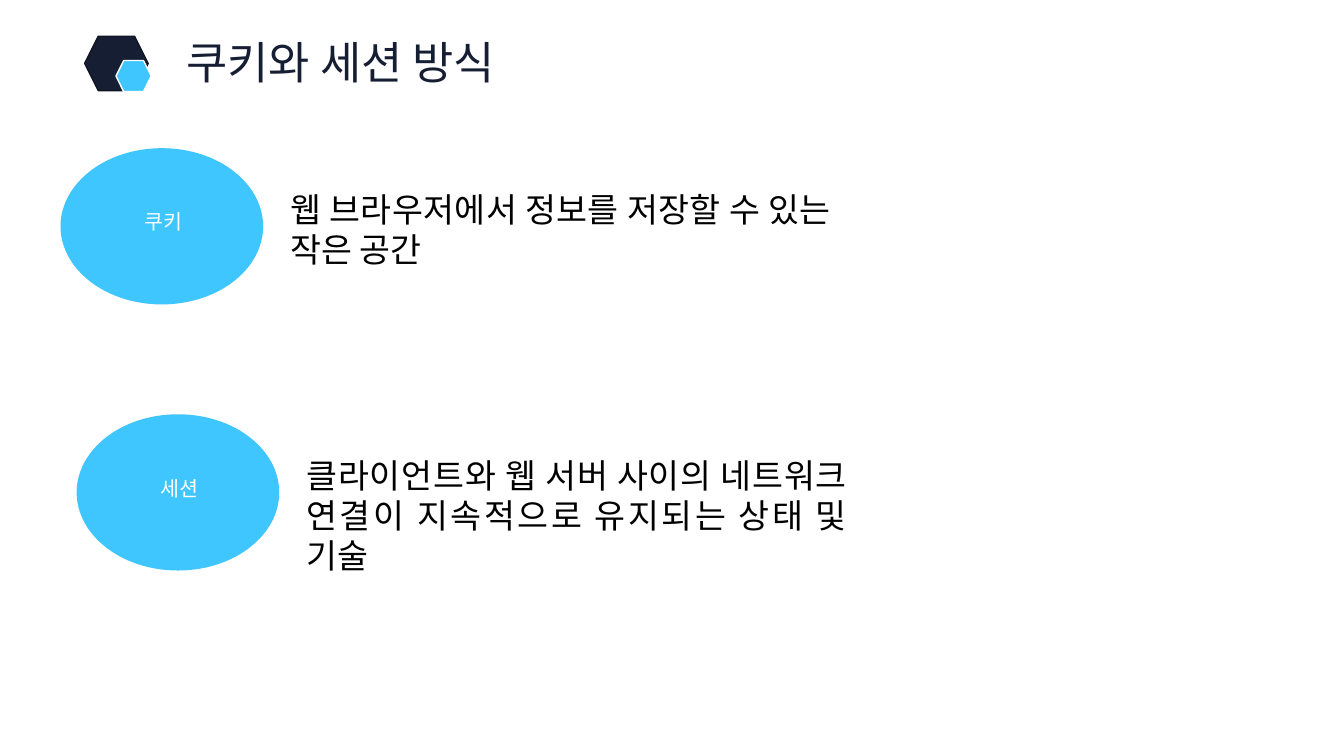
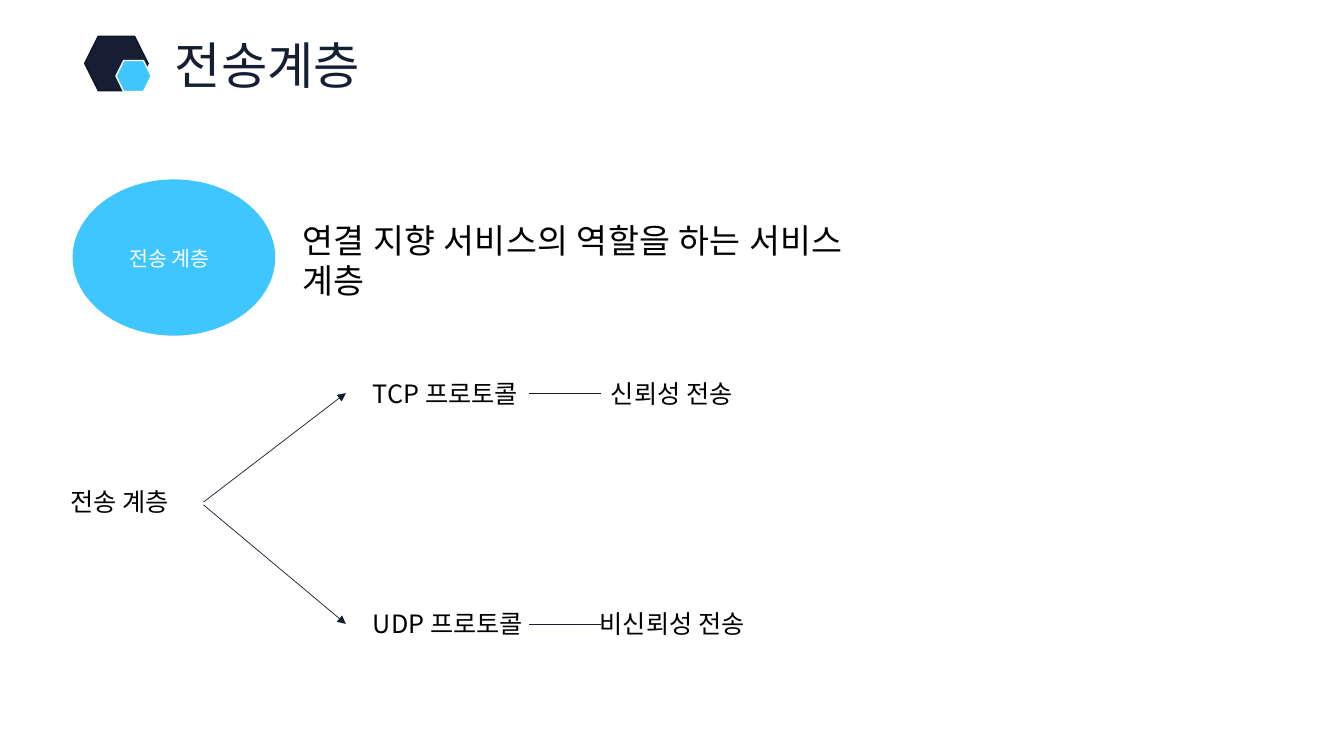
"""Build two slides on cookies, sessions and the transport layer."""
from dataclasses import dataclass

import lxml.etree
import pptx
import pptx.dml.color
import pptx.enum.shapes
import pptx.enum.text
import pptx.oxml.ns
import pptx.presentation
import pptx.shapes.autoshape
import pptx.slide
import pptx.util

Inches = pptx.util.Inches
Pt = pptx.util.Pt
Align = pptx.enum.text.PP_ALIGN
Anchor = pptx.enum.text.MSO_ANCHOR
AutoSize = pptx.enum.text.MSO_AUTO_SIZE
Preset = pptx.enum.shapes.MSO_SHAPE


@dataclass(frozen=True)
class Theme:
    navy: str = "151E33"
    navy_edge: str = "101524"
    sky: str = "3FC6FE"
    white: str = "FFFFFF"
    black: str = "000000"
    connector: str = "161D30"
    title_font: str = "Noto Sans CJK KR"
    body_font: str = "Noto Sans CJK SC"
    definition_size: float = 24
    node_size: float = 18
    term_size: float = 14.7


@dataclass(frozen=True)
class Title:
    text: str
    left: float
    size: float


@dataclass(frozen=True)
class Definition:
    term: str
    meaning: str
    left: float
    top: float
    term_dx: float = 0.83
    term_dy: float = 0.4


@dataclass(frozen=True)
class Node:
    text: str
    left: float
    top: float
    width: float


@dataclass(frozen=True)
class Link:
    start: tuple[float, float]
    end: tuple[float, float]
    arrow: bool = False


THEME = Theme()


def rgb(color: str) -> pptx.dml.color.RGBColor:
    return pptx.dml.color.RGBColor.from_string(color)


def add_preset(slide: pptx.slide.Slide, preset: Preset, left: float, top: float, width: float, height: float,
               fill: str | None = None, line: str | None = None) -> pptx.shapes.autoshape.Shape:
    shape = slide.shapes.add_shape(preset, Inches(left), Inches(top), Inches(width), Inches(height))
    shape.shadow.inherit = False
    if fill:
        shape.fill.solid()
        shape.fill.fore_color.rgb = rgb(fill)
    else:
        shape.fill.background()
    if line:
        shape.line.color.rgb = rgb(line)
        shape.line.width = Pt(1)
    else:
        shape.line.fill.background()
    return shape


def write_text(shape: pptx.shapes.autoshape.Shape, text: str, size: float, color: str, font: str = THEME.body_font,
               align: Align = Align.LEFT, anchor: Anchor = Anchor.TOP) -> None:
    frame = shape.text_frame
    frame.text = text
    frame.word_wrap = True
    frame.vertical_anchor = anchor
    paragraph = frame.paragraphs[0]
    paragraph.alignment = align
    run = paragraph.runs[0]
    run.font.size = Pt(size)
    run.font.color.rgb = rgb(color)
    run.font.name = font
    east_asian = lxml.etree.SubElement(run.font._element, pptx.oxml.ns.qn("a:ea"))
    east_asian.set("typeface", font)


def add_text_box(slide: pptx.slide.Slide, left: float, top: float, width: float,
                 height: float) -> pptx.shapes.autoshape.Shape:
    return slide.shapes.add_textbox(Inches(left), Inches(top), Inches(width), Inches(height))


def add_bare_box(slide: pptx.slide.Slide, left: float, top: float, width: float) -> pptx.shapes.autoshape.Shape:
    box = add_text_box(slide, left, top, width, 0.61)
    frame = box.text_frame
    frame.margin_left = frame.margin_top = frame.margin_right = frame.margin_bottom = 0
    return box


def add_titled_slide(presentation: pptx.presentation.Presentation, title: Title) -> pptx.slide.Slide:
    slide = presentation.slides.add_slide(presentation.slide_layouts[6])
    add_preset(slide, Preset.HEXAGON, 0.84, 0.36, 0.63, 0.54, THEME.navy, THEME.navy_edge)
    add_preset(slide, Preset.HEXAGON, 1.15, 0.6, 0.35, 0.31, THEME.sky, THEME.white)
    heading = add_preset(slide, Preset.ROUND_1_RECTANGLE, title.left, 0.29, 4.02, 0.71)
    write_text(heading, title.text, title.size, THEME.navy, THEME.title_font, Align.CENTER)
    return slide


def add_definition(slide: pptx.slide.Slide, definition: Definition) -> None:
    left, top = definition.left, definition.top
    add_preset(slide, Preset.OVAL, left, top, 2.01, 1.55, THEME.sky)
    meaning = add_bare_box(slide, left + 2.28, top + 0.4, 5.36)
    write_text(meaning, definition.meaning, THEME.definition_size, THEME.black, align=Align.JUSTIFY)
    term = add_bare_box(slide, left + definition.term_dx, top + definition.term_dy, 1)
    write_text(term, definition.term, THEME.term_size, THEME.white, anchor=Anchor.MIDDLE)
    term.text_frame.paragraphs[0].line_spacing = 1.2


def add_node(slide: pptx.slide.Slide, node: Node) -> None:
    box = add_text_box(slide, node.left, node.top, node.width, 0.4)
    write_text(box, node.text, THEME.node_size, THEME.black)
    box.text_frame.auto_size = AutoSize.SHAPE_TO_FIT_TEXT


def add_link(slide: pptx.slide.Slide, link: Link) -> None:
    connector = slide.shapes.add_connector(
        pptx.enum.shapes.MSO_CONNECTOR.STRAIGHT, *map(Inches, link.start + link.end))
    connector.line.color.rgb = rgb(THEME.connector)
    connector.line.width = Pt(0.5)
    if link.arrow:
        tail = lxml.etree.SubElement(connector.line._get_or_add_ln(), pptx.oxml.ns.qn("a:tailEnd"))
        tail.set("type", "triangle")
    lxml.etree.SubElement(connector._element.spPr, pptx.oxml.ns.qn("a:effectLst"))


def build_cookie_slide(presentation: pptx.presentation.Presentation) -> None:
    slide = add_titled_slide(presentation, Title("쿠키와 세션 방식", 1.39, 32))
    for definition in (
        Definition("쿠키", "웹 브라우저에서 정보를 저장할 수 있는 작은 공간", 0.6, 1.47),
        Definition("세션", "클라이언트와 웹 서버 사이의 네트워크 연결이 지속적으로 유지되는 상태 및 기술", 0.76, 4.11),
    ):
        add_definition(slide, definition)


def build_transport_slide(presentation: pptx.presentation.Presentation) -> None:
    slide = add_titled_slide(presentation, Title("전송계층", 0.66, 36))
    add_definition(slide, Definition("전송 계층", "연결 지향 서비스의 역할을 하는 서비스 계층", 0.72, 1.78, 0.56, 0.45))
    add_node(slide, Node("전송 계층", 0.6, 4.78, 2.76))
    branches = (
        (3.7, 4.98, Node("TCP 프로토콜", 3.6, 3.7, 3.31), Node("신뢰성 전송", 5.96, 3.7, 1.65)),
        (5.99, 5.01, Node("UDP 프로토콜", 3.6, 5.99, 3.31), Node("비신뢰성 전송", 5.85, 5.99, 1.87)),
    )
    for top, root_y, protocol, quality in branches:
        middle = top + 0.2
        add_link(slide, Link((2.02, root_y), (3.43, middle), arrow=True))
        add_node(slide, protocol)
        add_node(slide, quality)
        add_link(slide, Link((5.25, middle), (5.96, middle)))


def main() -> None:
    presentation = pptx.Presentation()
    presentation.slide_width = Inches(13.33)
    presentation.slide_height = Inches(7.5)
    build_cookie_slide(presentation)
    build_transport_slide(presentation)
    presentation.save("out.pptx")


if __name__ == "__main__":
    main()
